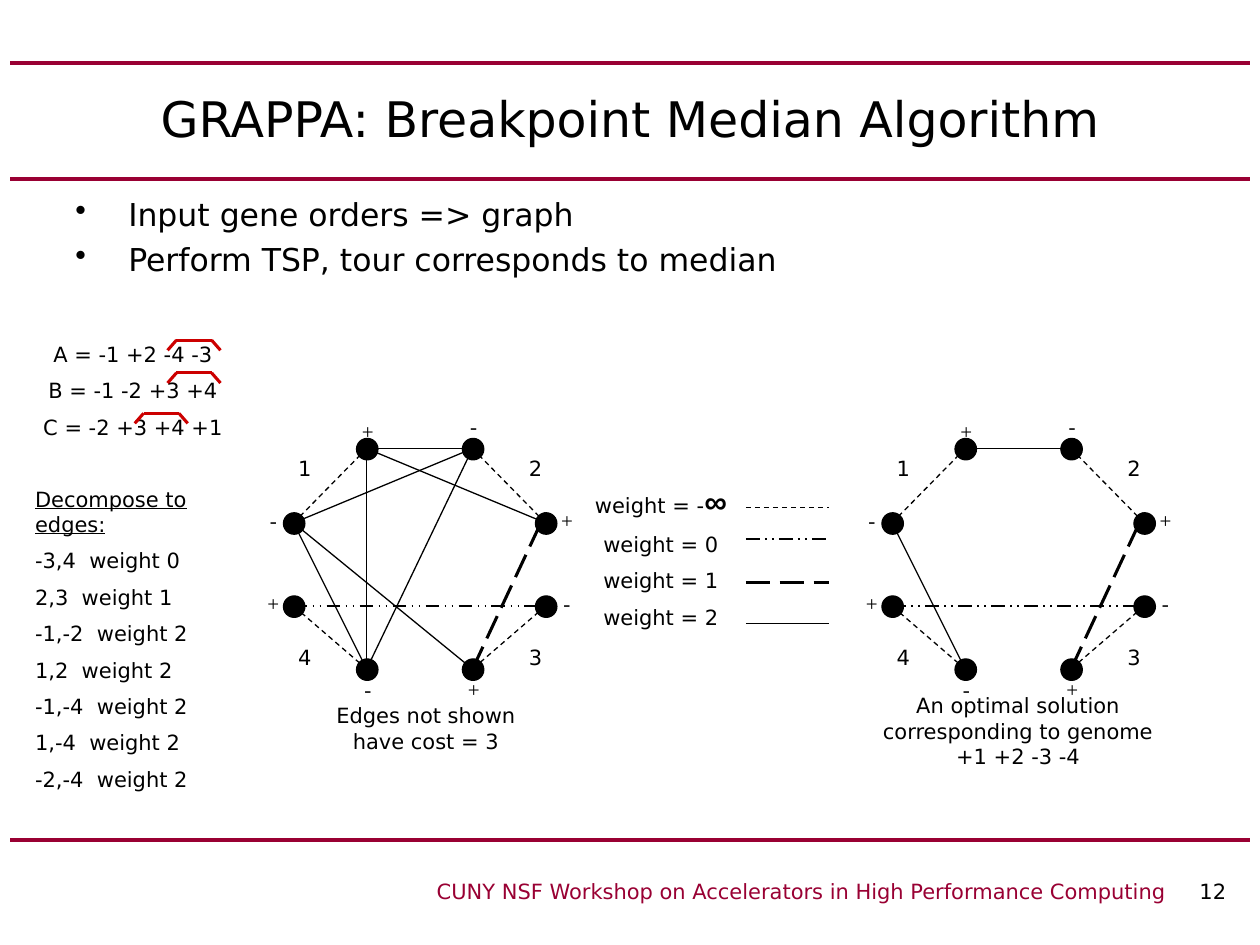
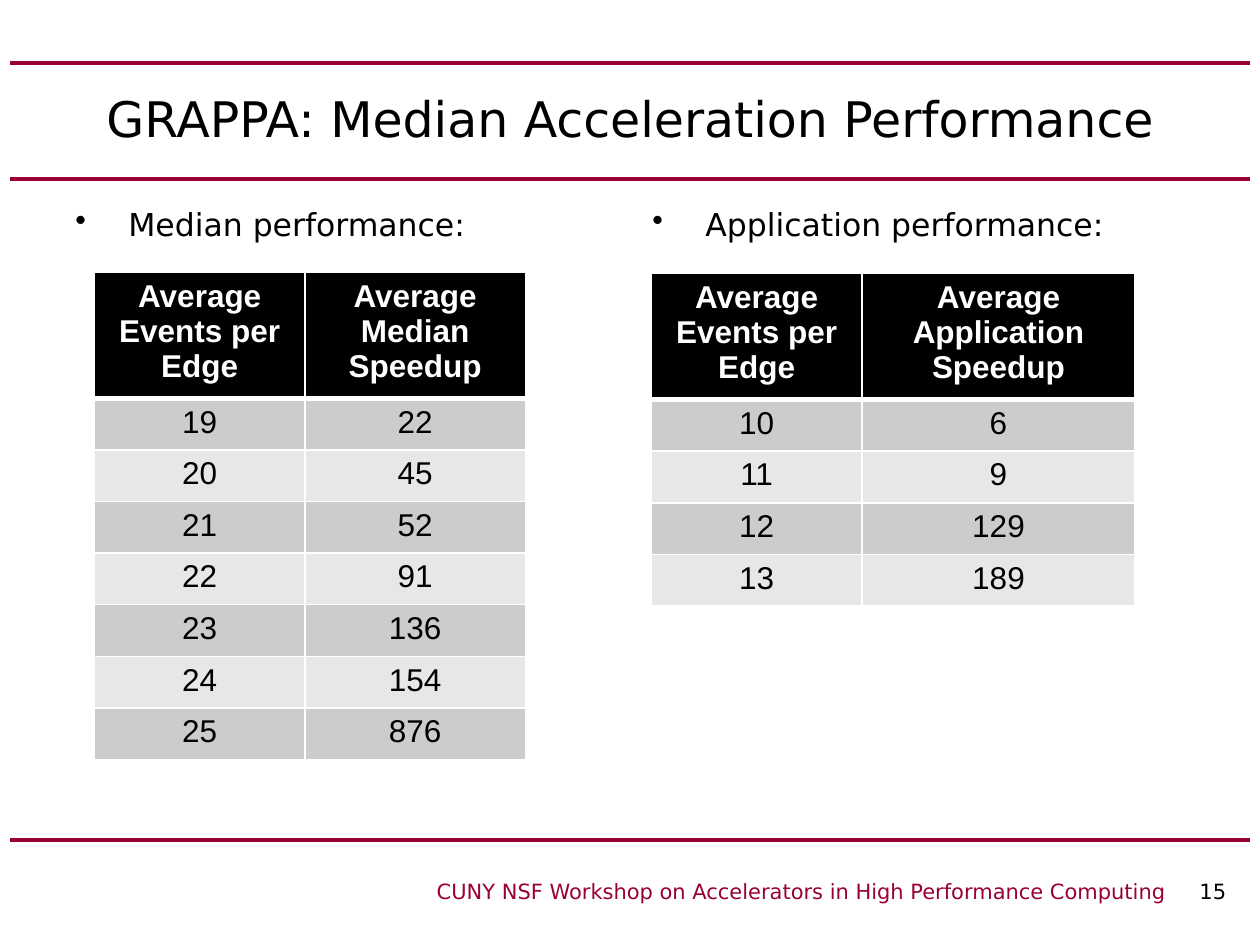
from dataclasses import dataclass
from itertools import pairwise

from lxml import etree
from pptx import Presentation
from pptx.dml.color import RGBColor
from pptx.enum.dml import MSO_LINE
from pptx.enum.shapes import MSO_CONNECTOR, MSO_SHAPE
from pptx.enum.text import MSO_ANCHOR, PP_ALIGN
from pptx.oxml.ns import qn
from pptx.util import Inches, Pt

LEFT, CENTER, RIGHT = PP_ALIGN.LEFT, PP_ALIGN.CENTER, PP_ALIGN.RIGHT
TOP, MIDDLE = MSO_ANCHOR.TOP, MSO_ANCHOR.MIDDLE
STRAIGHT, OVAL = MSO_CONNECTOR.STRAIGHT, MSO_SHAPE.OVAL
DASH, LONG_DASH, DASH_DOT_DOT = MSO_LINE.DASH, MSO_LINE.LONG_DASH, MSO_LINE.DASH_DOT_DOT


@dataclass(frozen=True)
class Theme:
    ink: str = "000000"
    paper: str = "FFFFFF"
    accent: str = "990033"
    bracket: str = "CC0000"
    bands: tuple = ("CCCCCC", "E7E7E7")
    font: str = "DejaVu Sans"
    sign_font: str = "Times New Roman"
    table_font: str = "Arial"
    title: int = 28
    body: int = 18
    small: int = 12


T = Theme()

RULES_Y = (6.67, 1.42, 0.5)
FOOTER = "CUNY NSF Workshop on Accelerators in High Performance Computing\t "

ALGORITHM = {
    "title": "GRAPPA: Breakpoint Median Algorithm",
    "number": "12",
    "bullets": ["Input gene orders => graph", "Perform TSP, tour corresponds to median"],
}
GENE_ORDERS = ["A = -1 +2 -4 -3", "B = -1 -2 +3 +4", "C = -2 +3 +4 +1"]
DECOMPOSE = "Decompose to edges:"
DECOMPOSED = ["-3,4  weight 0", "2,3  weight 1", "-1,-2  weight 2", "1,2  weight 2",
              "-1,-4  weight 2", "1,-4  weight 2", "-2,-4  weight 2"]
BRACKETS = [(1.4, 2.7), (1.4, 2.96), (1.14, 3.28)]

NODES = {
    "1+": (0.58, 0, "top"), "2-": (1.42, 0, "top"),
    "1-": (0, 0.59, "left"), "4+": (0, 1.25, "left"),
    "4-": (0.58, 1.75, "bottom"), "3+": (1.42, 1.75, "bottom"),
    "2+": (2, 0.59, "right"), "3-": (2, 1.25, "right"),
}
SIGN_SHIFT = {"top": (-0.16, -0.21), "left": (-0.33, -0.09),
              "right": (0, -0.09), "bottom": (-0.16, 0.09)}
GENES = {"1": (-0.08, 0.09), "2": (1.75, 0.09), "4": (-0.08, 1.59), "3": (1.75, 1.59)}
NODE_SIZE = 0.17
NODE_CENTER = 0.08
POINTS = {name: (x + NODE_CENTER, y + NODE_CENTER) for name, (x, y, _) in NODES.items()}
POINTS["2+ top"] = (2.08, 0.59)

WEIGHTS = {
    "-∞": {"width": 0.75, "dash": DASH},
    "0": {"width": 1, "dash": DASH_DOT_DOT},
    "1": {"width": 1.75, "dash": LONG_DASH},
    "2": {"width": 0.75},
}
TOUR = [("1-", "1+", "-∞"), ("2+", "2-", "-∞"), ("4-", "4+", "-∞"), ("3-", "3+", "-∞"),
        ("4+", "3-", "0"), ("3+", "2+ top", "1"), ("4-", "1-", "2"), ("1+", "2-", "2")]
OTHER_EDGES = [("4-", "1+", "2"), ("4-", "2-", "2"), ("3+", "1-", "2"),
               ("1-", "2-", "2"), ("1+", "2+", "2")]
GRAPHS = [
    {"x": 2.25, "edges": TOUR + OTHER_EDGES, "caption": "Edges not shown have cost = 3",
     "box": (2.42, 5.53, 1.92, 0.5)},
    {"x": 7, "edges": TOUR, "caption": "An optimal solution corresponding to genome +1 +2 -3 -4",
     "box": (6.83, 5.45, 2.5, 0.7)},
]
GRAPH_Y = 3.48
INFINITY = {"size": T.body, "font": "Arial", "bold": True, "italic": True}
LEGEND = [[("weight = -", {}), ("∞", INFINITY)], "weight = 0", "weight = 1", "weight = 2"]
LEGEND_Y = (4.03, 4.28, 4.62, 4.95)

PERFORMANCE = {"title": "GRAPPA: Median Acceleration Performance", "number": "15"}
RESULTS = [
    {"bullet": "Median performance:", "bullet_x": 0.5, "at": (0.75, 2.16), "cols": (1.67, 1.75),
     "head": ("Average Events per Edge", "Average Median Speedup"),
     "rows": [(19, 22), (20, 45), (21, 52), (22, 91), (23, 136), (24, 154), (25, 876)]},
    {"bullet": "Application performance:", "bullet_x": 5.08, "at": (5.17, 2.17),
     "cols": (1.67, 2.17),
     "head": ("Average Events per Edge", "Average Application\nSpeedup"),
     "rows": [(10, 6), (11, 9), (12, 129), (13, 189)]},
]
HEAD_H, ROW_H = 0.93, 0.41


def rgb(color):
    return RGBColor.from_string(color)


def write(tf, paras, size=T.small, font=T.font, color=T.ink, bold=False, italic=False,
          underline=False, align=CENTER, before=6.4, bullet=None):
    base = {"size": size, "font": font, "color": color, "bold": bold, "italic": italic,
            "underline": underline, "align": align, "before": before}
    for i, para in enumerate(paras):
        runs, options = para if isinstance(para, tuple) else (para, {})
        para_fmt = {**base, **options}
        p = tf.paragraphs[0] if i == 0 else tf.add_paragraph()
        p.alignment = para_fmt["align"]
        p.space_before = Pt(para_fmt["before"] if i else 0)
        if bullet:
            pPr = p._p.get_or_add_pPr()
            pPr.set("marL", str(Inches(0.42)))
            pPr.set("indent", str(-Inches(0.42)))
            etree.SubElement(pPr, qn("a:buChar")).set("char", bullet)
        for words, changes in [(runs, {})] if isinstance(runs, str) else runs:
            fmt = {**para_fmt, **changes}
            r = p.add_run()
            r.text = words
            r.font.size, r.font.name = Pt(fmt["size"]), fmt["font"]
            r.font.bold, r.font.italic = fmt["bold"], fmt["italic"]
            r.font.underline = fmt["underline"]
            r.font.color.rgb = rgb(fmt["color"])


def text(slide, box, paras, anchor=TOP, **fmt):
    tf = slide.shapes.add_textbox(*map(Inches, box)).text_frame
    tf.word_wrap, tf.vertical_anchor = True, anchor
    write(tf, paras, **fmt)


def bullets(slide, box, paras):
    text(slide, box, paras, size=T.body, align=LEFT, before=4.2, bullet="•")


def line(slide, start, end, color=T.ink, width=0.75, dash=None):
    sp = slide.shapes.add_connector(STRAIGHT, *map(Inches, (*start, *end)))
    sp.line.color.rgb, sp.line.width = rgb(color), Pt(width)
    if dash:
        sp.line.dash_style = dash
    etree.SubElement(sp._element.spPr, qn("a:effectLst"))


def new_slide(prs, title, number):
    slide = prs.slides.add_slide(prs.slide_layouts[6])
    for y in RULES_Y:
        line(slide, (0.08, y), (9.92, y), T.accent, 2.25)
    text(slide, (0.5, 0.5, 9, 0.87), [title], anchor=MIDDLE, size=T.title)
    text(slide, (2.83, 6.92, 7, 0.33), [[(FOOTER, {"color": T.accent}), (number, {})]],
         align=RIGHT)
    return slide


def draw_graph(slide, graph):
    def place(x, y):
        return graph["x"] + x, GRAPH_Y + y

    for name, (x, y, side) in NODES.items():
        sp = slide.shapes.add_shape(OVAL, *map(Inches, (*place(x, y), NODE_SIZE, NODE_SIZE)))
        sp.shadow.inherit = False
        sp.fill.solid()
        sp.fill.fore_color.rgb = sp.line.color.rgb = rgb(T.ink)
        sp.line.width = Pt(0.75)
        dx, dy = SIGN_SHIFT[side]
        if name == "2-":
            dy -= 0.04
        text(slide, (*place(x + dx, y + dy), 0.5, 0.3), [name[1]], font=T.sign_font)
    for gene, at in GENES.items():
        text(slide, (*place(*at), 0.5, 0.3), [gene])
    for start, end, weight in graph["edges"]:
        line(slide, place(*POINTS[start]), place(*POINTS[end]), **WEIGHTS[weight])
    text(slide, graph["box"], [graph["caption"]])


def draw_table(slide, result):
    rows = [result["head"], *result["rows"]]
    heights = [HEAD_H] + [ROW_H] * len(result["rows"])
    size = sum(result["cols"]), sum(heights)
    table = slide.shapes.add_table(len(rows), len(result["cols"]),
                                   *map(Inches, (*result["at"], *size))).table
    for col, width in zip(table.columns, result["cols"]):
        col.width = Inches(width)
    for r, (values, height) in enumerate(zip(rows, heights)):
        table.rows[r].height = Inches(height)
        for c, value in enumerate(values):
            cell = table.cell(r, c)
            cell.fill.solid()
            cell.fill.fore_color.rgb = rgb(T.bands[(r - 1) % 2] if r else T.ink)
            write(cell.text_frame, str(value).split("\n"), size=T.body, font=T.table_font,
                  color=T.ink if r else T.paper, bold=r == 0, before=0)
            for i, side in enumerate("LRTB"):
                width = 3 if (r, side) in ((0, "B"), (1, "T")) else 1
                ln = etree.Element(qn(f"a:ln{side}"), w=str(Pt(width)))
                fill = etree.SubElement(ln, qn("a:solidFill"))
                etree.SubElement(fill, qn("a:srgbClr")).set("val", T.paper)
                cell._tc.get_or_add_tcPr().insert(i, ln)


def algorithm_slide(prs):
    slide = new_slide(prs, ALGORITHM["title"], ALGORITHM["number"])
    heading = (DECOMPOSE, {"align": LEFT, "underline": True, "before": 26.8})
    edges = [(edge, {"align": LEFT}) for edge in DECOMPOSED]
    text(slide, (0.18, 2.66, 1.75, 3.84), [*GENE_ORDERS, heading, *edges])
    for graph in GRAPHS:
        draw_graph(slide, graph)
    text(slide, (4.58, 3.78, 1.33, 1.3), LEGEND)
    for y, style in zip(LEGEND_Y, WEIGHTS.values()):
        line(slide, (5.92, y), (6.58, y), **style)
    for x, y in BRACKETS:
        corners = [(x - 0.07, y + 0.08), (x, y), (x + 0.28, y), (x + 0.35, y + 0.08)]
        for start, end in pairwise(corners):
            line(slide, start, end, T.bracket, 1.75)
    bullets(slide, (0.5, 1.5, 9, 5.08), ALGORITHM["bullets"])


def performance_slide(prs):
    slide = new_slide(prs, PERFORMANCE["title"], PERFORMANCE["number"])
    for result in RESULTS:
        draw_table(slide, result)
        bullets(slide, (result["bullet_x"], 1.58, 4.25, 5), [result["bullet"]])


def main():
    prs = Presentation()
    prs.slide_width, prs.slide_height = Inches(10), Inches(7.5)
    algorithm_slide(prs)
    performance_slide(prs)
    prs.save("out.pptx")


if __name__ == "__main__":
    main()
